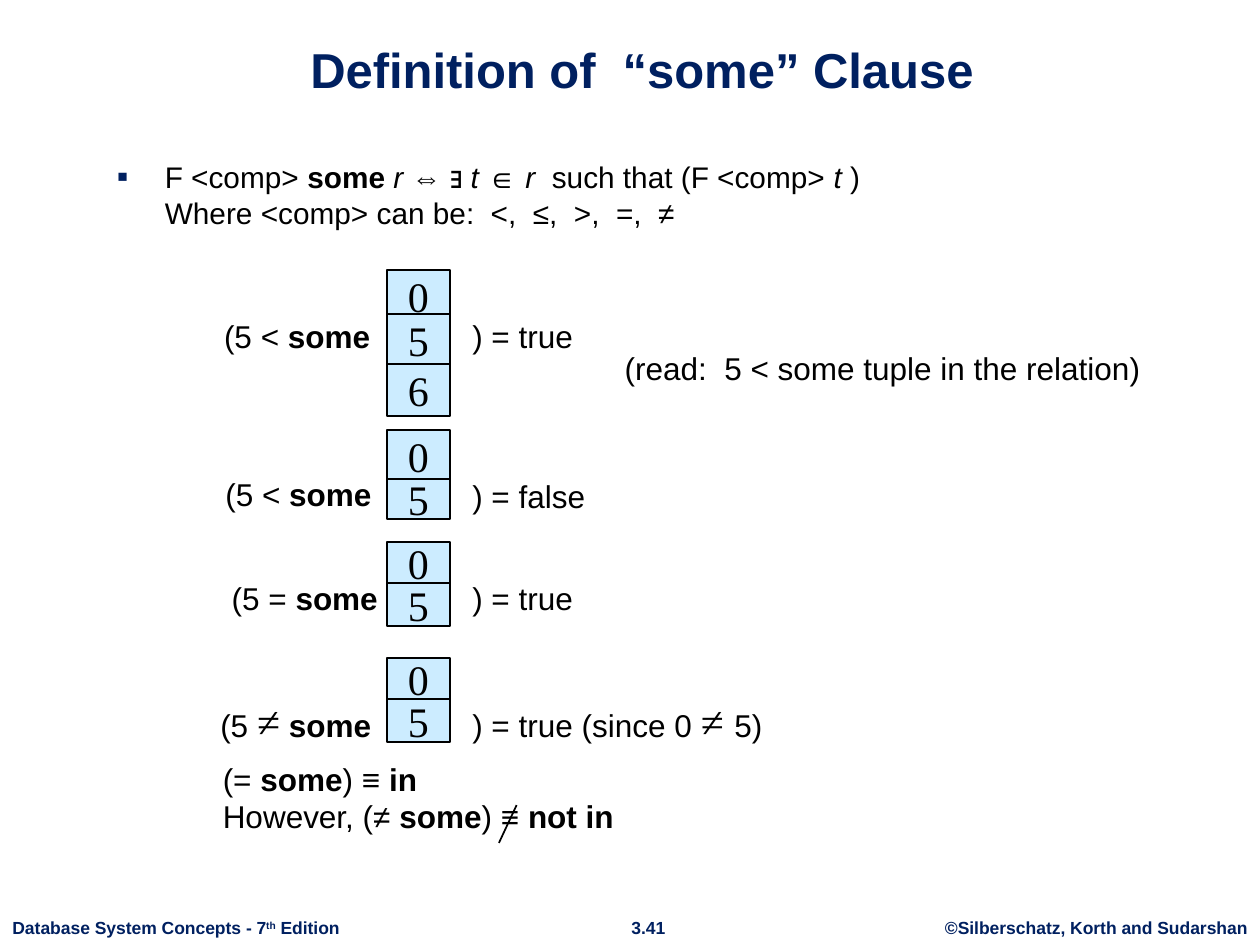
from lxml.etree import SubElement
from pptx import Presentation
from pptx.dml.color import RGBColor
from pptx.enum.shapes import MSO_CONNECTOR, MSO_SHAPE
from pptx.enum.text import MSO_ANCHOR, PP_ALIGN
from pptx.oxml.ns import qn
from pptx.util import Inches, Pt

COLORS = {"navy": "002060", "ink": "000000", "cell": "CCECFF"}
SANS, SERIF = "Arial", "Times New Roman"
COLS, ROWS = 100, 75


class Deck:
    def __init__(self):
        self.prs = Presentation()
        self.prs.slide_width, self.prs.slide_height = Inches(10), Inches(7.5)
        self.s = self.prs.slides.add_slide(self.prs.slide_layouts[5])

    def x(self, cols):
        return round(self.prs.slide_width * cols / COLS)

    def y(self, rows):
        return round(self.prs.slide_height * rows / ROWS)

    def box(self, left, top, width, height):
        return self.x(left), self.y(top), self.x(width), self.y(height)

    def rgb(self, name):
        return RGBColor.from_string(COLORS[name])

    def add_runs(self, p, runs, size=18, color="ink", font=SANS):
        for text, style in runs:
            if text == "\n":
                p.add_line_break()
                continue
            r = p.add_run()
            r.text = text
            r.font.name = SERIF if "s" in style else font
            r.font.size = Pt(24 if "s" in style else size)
            r.font.bold = "b" in style
            r.font.italic = "i" in style
            r.font.color.rgb = self.rgb(color)
            if "^" in style:
                r.font._element.set("baseline", "30000")

    def title(self, text, *area):
        sp = self.s.shapes.title
        sp.left, sp.top, sp.width, sp.height = self.box(*area)
        tf = sp.text_frame
        tf.vertical_anchor = MSO_ANCHOR.BOTTOM
        p = tf.paragraphs[0]
        p.alignment = PP_ALIGN.CENTER
        self.add_runs(p, [(text, "b")], 28, "navy")

    def text(self, area, *lines, size=18, color="ink", align=PP_ALIGN.LEFT, wrap=True):
        tf = self.s.shapes.add_textbox(*self.box(*area)).text_frame
        tf.word_wrap = wrap
        for i, runs in enumerate(lines):
            p = tf.add_paragraph() if i else tf.paragraphs[0]
            p.alignment = align
            self.add_runs(p, runs, size, color)
        return tf

    def bullet(self, area, runs):
        pPr = self.text(area, runs, size=17).paragraphs[0]._p.get_or_add_pPr()
        pPr.set("marL", str(self.x(3.8)))
        pPr.set("indent", str(-self.x(3.8)))
        clr = SubElement(pPr, qn("a:buClr"))
        SubElement(clr, qn("a:srgbClr"), val=COLORS["navy"])
        SubElement(pPr, qn("a:buSzPct"), val="110000")
        SubElement(pPr, qn("a:buFont"), typeface=SANS)
        SubElement(pPr, qn("a:buChar"), char="▪")

    def cell(self, value, top, height):
        sp = self.s.shapes.add_shape(MSO_SHAPE.RECTANGLE, *self.box(30.7, top, 5, height))
        sp.shadow.inherit = False
        sp.fill.solid()
        sp.fill.fore_color.rgb = self.rgb("cell")
        sp.line.color.rgb = self.rgb("ink")
        sp.line.width = Pt(1)
        tf = sp.text_frame
        tf.word_wrap = False
        tf.vertical_anchor = MSO_ANCHOR.MIDDLE
        p = tf.paragraphs[0]
        p.alignment = PP_ALIGN.CENTER
        self.add_runs(p, [(value, "")], 24, font=SERIF)

    def line(self, x1, y1, x2, y2):
        c = self.s.shapes.add_connector(
            MSO_CONNECTOR.STRAIGHT, self.x(x1), self.y(y1), self.x(x2), self.y(y2))
        c.line.color.rgb = self.rgb("ink")
        c.line.width = Pt(1)
        SubElement(c._element.spPr, qn("a:effectLst"))


def main():
    d = Deck()
    d.title("Definition of  “some” Clause", 6.8, 1.6, 88.3, 6.7)
    d.bullet((8.3, 12.1, 74.4, 7.8), [
        ("F <comp> ", ""), ("some ", "b"), ("r ", "i"), ("⇔ ∃ ", ""), ("t ", "i"),
        ("∈", ""), (" r  ", "i"), ("such that (F <comp> ", ""), ("t ", "i"), (")", ""),
        ("\n", ""), ("Where <comp> can be:  <,  ≤,  >,  =,  ≠", "")])

    some = ("some", "b")
    less = [("(5 < ", ""), some]
    equal = [("(5 = ", ""), some]
    unequal = [("(5 ", ""), ("≠", "s"), (" ", ""), some]
    true, false = [(") = true", "")], [(") = false", "")]
    since = [(") = true (since 0 ", ""), ("≠ ", "s"), ("5)", "")]
    cases = [
        (less, 16.8, 24.7, true, 24.7, [("0", 21.4, 4.1), ("5", 24.9, 4.1), ("6", 28.9, 4.1)]),
        (less, 16.9, 37.2, false, 37.4, [("0", 34.1, 4.2), ("5", 38, 3.2)]),
        (equal, 17.4, 45.5, true, 45.5, [("0", 43, 3.4), ("5", 46.3, 3.4)]),
        (unequal, 16.5, 54.7, since, 54.7, [("0", 52.2, 3.4), ("5", 55.5, 3.4)]),
    ]
    for test, left, top, result, result_top, tuples in cases:
        for value, cell_top, height in tuples:
            d.cell(value, cell_top, height)
        d.text((left, top, 16.7, 4), test)
        d.text((36.5, result_top, 27.5, 4), result)

    d.text((48.6, 27.2, 53.3, 4), [("(read:  5 < some tuple in the relation)", "")])
    d.text((16.7, 59.8, 74.4, 7.8),
           [("(= ", ""), some, (") ≡ ", ""), ("in", "b")],
           [("However, (≠ ", ""), some, (") ≡ ", ""), ("not in", "b")])
    d.line(41, 63.9, 39.6, 66.9)

    footers = [
        (0, 28.1, PP_ALIGN.LEFT,
         [("Database System Concepts - 7", "b"), ("th", "b^"), (" Edition", "b")]),
        (49, 4.9, PP_ALIGN.CENTER, [("3.41", "b")]),
        (74, 26, PP_ALIGN.CENTER, [("©Silberschatz, Korth and Sudarshan", "b")]),
    ]
    for left, width, align, runs in footers:
        d.text((left, 72.3, width, 2.7), runs, size=10, color="navy", align=align, wrap=False)
    d.prs.save("out.pptx")


if __name__ == "__main__":
    main()
